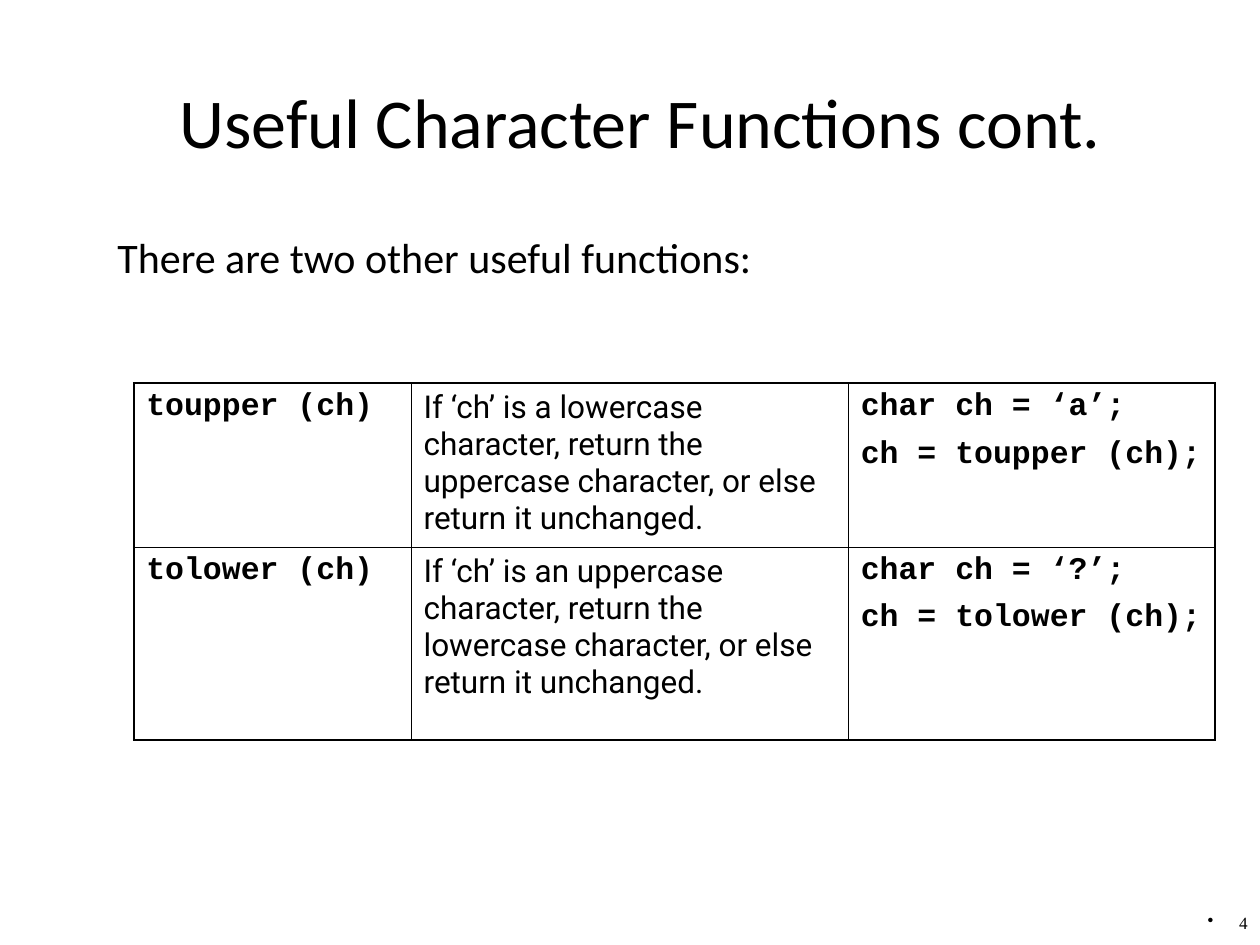
from pptx import Presentation
from pptx import util as u
from pptx.dml.color import RGBColor
from pptx.enum import text
from pptx.oxml.ns import qn
from lxml import etree

Pt = u.Pt
COLORS = {"ink": "000000", "paper": "FFFFFF"}
TITLE = "Useful Character Functions cont."
INTRO = "There are two other useful functions:"
PAGE = "4"
FUNCTIONS = [
    (["toupper (ch)"],
     ["If ‘ch’ is a lowercase character, return the uppercase character, or else return it unchanged."],
     ["char ch = ‘a’;", "ch = toupper (ch);"]),
    (["tolower (ch)"],
     ["If ‘ch’ is an uppercase character, return the lowercase character, or else return it unchanged."],
     ["char ch = ‘?’;", "ch = tolower (ch);"]),
]
COL_WIDTHS = [158.5, 249.8, 209.5]
ROW_HEIGHTS = [93.6, 110.2]
OUTER, INNER = 1.08, 0.45
ALIGN = text.PP_ALIGN


def write(tf, lines, font="Calibri", size=18, bold=False, align=ALIGN.LEFT,
          before=0, after=0, spacing=None, bullet=None, indent=0):
    tf.word_wrap = True
    for i, line in enumerate(lines):
        p = tf.paragraphs[0] if i == 0 else tf.add_paragraph()
        if bullet:
            pPr = p._p.get_or_add_pPr()
            pPr.set("marL", str(Pt(indent)))
            pPr.set("indent", str(-Pt(indent)))
            etree.SubElement(pPr, qn("a:buChar"), char=bullet)
        p.alignment = align
        p.space_before = Pt(before if i else 0)
        p.space_after = Pt(after)
        if spacing:
            p.line_spacing = spacing
        r = p.add_run()
        r.text = line
        r.font.name, r.font.size, r.font.bold = font, Pt(size), bold
        r.font.color.rgb = RGBColor.from_string(COLORS["ink"])


def add_text(s, box, line, anchor=text.MSO_ANCHOR.TOP, **fmt):
    tf = s.shapes.add_textbox(*map(Pt, box)).text_frame
    tf.vertical_anchor = anchor
    write(tf, [line], **fmt)


def set_borders(cell, widths):
    tcPr = cell._tc.get_or_add_tcPr()
    for i, (side, width) in enumerate(widths.items()):
        ln = etree.Element(qn(f"a:ln{side}"), w=str(Pt(width)))
        fill = etree.SubElement(ln, qn("a:solidFill"))
        etree.SubElement(fill, qn("a:srgbClr"), val=COLORS["ink"])
        tcPr.insert(i, ln)


def add_function_table(s):
    rows, cols = len(ROW_HEIGHTS), len(COL_WIDTHS)
    box = (76.4, 218.9, sum(COL_WIDTHS), sum(ROW_HEIGHTS))
    table = s.shapes.add_table(rows, cols, *map(Pt, box)).table
    table.first_row = table.horz_banding = False
    for column, width in zip(table.columns, COL_WIDTHS):
        column.width = Pt(width)
    for y, height in enumerate(ROW_HEIGHTS):
        table.rows[y].height = Pt(height)
        for x, lines in enumerate(FUNCTIONS[y]):
            cell = table.cell(y, x)
            cell.fill.background()
            code = x != 1
            write(cell.text_frame, lines, font="Courier New" if code else "Roboto",
                  bold=code, align=ALIGN.JUSTIFY if code else ALIGN.LEFT,
                  before=4.5, after=2.2)
            set_borders(cell, {
                "L": INNER if x else OUTER,
                "R": OUTER if x == cols - 1 else INNER,
                "T": INNER if y else OUTER,
                "B": OUTER if y == rows - 1 else INNER,
            })


def main():
    prs = Presentation()
    prs.slide_width, prs.slide_height = Pt(720), Pt(540)
    s = prs.slides.add_slide(prs.slide_layouts[6])
    s.background.fill.solid()
    s.background.fill.fore_color.rgb = RGBColor.from_string(COLORS["paper"])
    add_text(s, (60, 43.2, 612, 51.1), TITLE, size=40, align=ALIGN.CENTER,
             anchor=text.MSO_ANCHOR.MIDDLE)
    add_text(s, (60, 128.5, 629.3, 62.6), INTRO, size=24)
    add_function_table(s)
    add_text(s, (674, 519.8, 46, 20.2), PAGE, font="Times New Roman", size=9.8,
             align=ALIGN.RIGHT, spacing=0.8, bullet="•", indent=18)
    prs.save("out.pptx")


if __name__ == "__main__":
    main()
